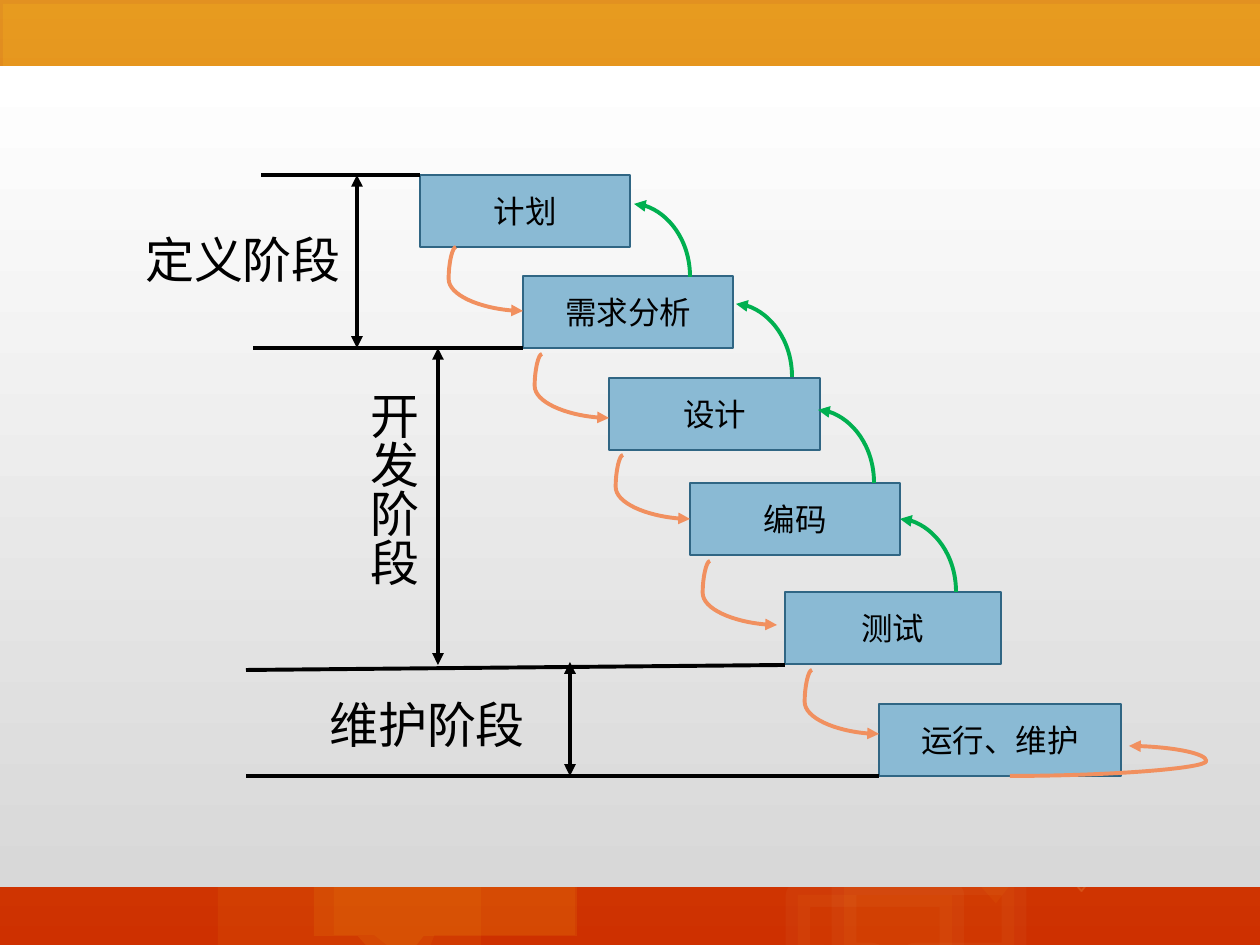
from pptx import Presentation
from pptx.dml.color import RGBColor
from pptx.enum.shapes import MSO_CONNECTOR, MSO_SHAPE
from pptx.enum.text import MSO_ANCHOR, PP_ALIGN
from pptx.oxml.ns import qn
from pptx.util import Pt
from lxml import etree

EMU_PER_PX = 914400 / 126
RECTANGLE = MSO_SHAPE.RECTANGLE
CALLOUT = MSO_SHAPE.RECTANGULAR_CALLOUT
STRAIGHT, CURVE = MSO_CONNECTOR.STRAIGHT, MSO_CONNECTOR.CURVE
CENTER, MIDDLE = PP_ALIGN.CENTER, MSO_ANCHOR.MIDDLE
DOWNWARD = 270  # gradient angle, counter-clockwise

FONT = "Noto Sans CJK SC"
COLORS = {
    "orange": "E29121", "red": "CE3000", "white": "FFFFFF", "grey": "D8D8D8",
    "gold": "FDC51B", "cream": "FEEAAC", "yellow": "FFE181",
    "box": "8ABAD4", "box edge": "306684", "text": "000000",
    "forward": "F1905F", "back": "00B050",
}

# left, top, width, height, pointer, fill, fill opacity %, outline (colour, points, opacity %)
POINTER = (-0.2, 0.65)
CALLOUTS = [
    (334, 672, 241, 263, (-0.14, 0.64), "gold", 7, None),
    (314, 673, 263, 263, POINTER, "gold", 10, None),
    (3, 4, 1265, 263, (-0.2, 0.45), "gold", 20, None),
    (917, 601, 263, 263, POINTER, "gold", 5, None),
    (798, 895, 154, 62, POINTER, "gold", 5, ("cream", 14, 3)),
    (844, 883, 170, 72, POINTER, "gold", 5, ("cream", 14, 3)),
    (1051, 774, 102, 102, POINTER, "yellow", 5, ("yellow", 1, 14)),
    (218, 752, 263, 203, POINTER, "gold", 7, None),
]

BOX_HEIGHT = 72
STEPS = [  # text, left, top, width
    ("计划", 420, 175, 210),
    ("需求分析", 523, 276, 210),
    ("设计", 609, 378, 211),
    ("编码", 690, 483, 210),
    ("测试", 785, 592, 216),
    ("运行、维护", 879, 704, 242),
]
FORWARD_ENDS = [(523, 311), (609, 418), (690, 519), (777, 625), (879, 734)]
FORWARD_RUN, FORWARD_DROP = 67, 64
BACK_STARTS = [(956, 592), (874, 483), (792, 377), (690, 277)]
BACK_RUN, BACK_RISE = 56, 73

BOUNDARIES = [
    ((420, 175), (261, 175)), ((523, 348), (253, 348)),
    ((785, 665), (246, 670)), ((879, 776), (246, 776)),
]
SPANS = [(357, 175, 348), (438, 348, 665), (570, 662, 776)]  # x, top, bottom
PHASES = [  # text, left, top, width, height, vertical
    ("开发阶段", 345, 379, 84, 241, True),
    ("维护阶段", 293, 688, 268, 72, False),
    ("定义阶段", 109, 223, 268, 72, False),
]


def emu(*lengths):
    return [round(length * EMU_PER_PX) for length in lengths]


def rgb(name):
    return RGBColor.from_string(COLORS[name])


def set_gradient(fill, top, bottom):
    fill.gradient()
    fill.gradient_angle = DOWNWARD
    for stop, name in zip(fill.gradient_stops, (top, bottom)):
        stop.color.rgb = rgb(name)


def set_opacity(color_parent, percent):
    for color in color_parent.iter(qn("a:srgbClr")):
        etree.SubElement(color, qn("a:alpha")).set("val", str(percent * 1000))


def write(box, text, size):
    frame = box.text_frame
    frame.word_wrap = True
    frame.text = text
    para = frame.paragraphs[0]
    para.alignment = CENTER
    font = para.runs[0].font
    font.size, font.name = Pt(size), FONT
    font.color.rgb = rgb("text")
    east_asian = etree.SubElement(font._element, qn("a:ea"))
    east_asian.set("typeface", FONT)
    return frame


def add_shape(slide, preset, *frame):
    shape = slide.shapes.add_shape(preset, *emu(*frame))
    shape.shadow.inherit = False
    shape.line.fill.background()
    return shape


def add_callout(slide, left, top, width, height, pointer, fill, opacity, outline):
    shape = add_shape(slide, CALLOUT, left, top, width, height)
    shape.adjustments[0], shape.adjustments[1] = pointer
    shape.fill.solid()
    shape.fill.fore_color.rgb = rgb(fill)
    set_opacity(shape.element.spPr.find(qn("a:solidFill")), opacity)
    if outline:
        name, points, line_opacity = outline
        shape.line.color.rgb = rgb(name)
        shape.line.width = Pt(points)
        set_opacity(shape.element.spPr.find(qn("a:ln")), line_opacity)


def add_step(slide, text, left, top, width):
    box = add_shape(slide, RECTANGLE, left, top, width, BOX_HEIGHT)
    box.fill.solid()
    box.fill.fore_color.rgb = rgb("box")
    box.line.color.rgb = rgb("box edge")
    box.line.width = Pt(1)
    write(box, text, 18).vertical_anchor = MIDDLE


def add_line(slide, kind, start, end, color, arrows=()):
    line = slide.shapes.add_connector(kind, *emu(*start, *end))
    line.line.color.rgb = rgb(color)
    line.line.width = Pt(2.25)
    properties = line.element.spPr
    for arrow in arrows:
        etree.SubElement(properties.find(qn("a:ln")), qn(f"a:{arrow}")).set("type", "triangle")
    etree.SubElement(properties, qn("a:effectLst"))
    return line


def add_bowed_arrow(slide, start, end, bow):
    arrow = add_line(slide, CURVE, start, end, "forward", ["tailEnd"])
    geometry = arrow.element.spPr.find(qn("a:prstGeom"))
    guides = geometry.find(qn("a:avLst"))
    if guides is None:
        guides = etree.SubElement(geometry, qn("a:avLst"))
    guide = etree.SubElement(guides, qn("a:gd"))
    guide.set("name", "adj1")
    guide.set("fmla", f"val {round(bow * 100000)}")


def add_back_arrow(slide, x, y):
    # A quarter curve laid on its side, then turned to rise and bend left
    middle_x, middle_y = x - BACK_RUN / 2, y - BACK_RISE / 2
    start = (middle_x - BACK_RISE / 2, middle_y + BACK_RUN / 2)
    end = (middle_x + BACK_RISE / 2, middle_y - BACK_RUN / 2)
    arrow = add_line(slide, CURVE, start, end, "back", ["tailEnd"])
    properties = arrow.element.spPr
    properties.find(qn("a:prstGeom")).set("prst", "curvedConnector2")
    properties.find(qn("a:xfrm")).set("rot", str(270 * 60000))


def add_phase(slide, text, left, top, width, height, vertical):
    label = slide.shapes.add_textbox(*emu(left, top, width, height))
    frame = write(label, text, 28)
    if vertical:
        frame._txBody.find(qn("a:bodyPr")).set("vert", "eaVert")


def main():
    deck = Presentation()
    deck.slide_width, deck.slide_height = emu(1260, 945)
    slide = deck.slides.add_slide(deck.slide_layouts[6])

    # Backdrop
    set_gradient(slide.background.fill, "orange", "red")
    for callout in CALLOUTS:
        add_callout(slide, *callout)
    panel = add_shape(slide, RECTANGLE, 0, 66, 1260, 821)
    set_gradient(panel.fill, "white", "grey")

    # Steps of the waterfall and the arrows between them
    for step in STEPS:
        add_step(slide, *step)
    for x, y in FORWARD_ENDS:
        add_bowed_arrow(slide, (x - FORWARD_RUN, y - FORWARD_DROP), (x, y), -0.11)
    add_bowed_arrow(slide, (1010, 776), (1129, 746), 1.65)
    for x, y in BACK_STARTS:
        add_back_arrow(slide, x, y)

    # Phases
    for start, end in BOUNDARIES:
        add_line(slide, STRAIGHT, start, end, "text")
    for x, top, bottom in SPANS:
        add_line(slide, STRAIGHT, (x, top), (x, bottom), "text", ["headEnd", "tailEnd"])
    for phase in PHASES:
        add_phase(slide, *phase)

    deck.save("out.pptx")


if __name__ == "__main__":
    main()
